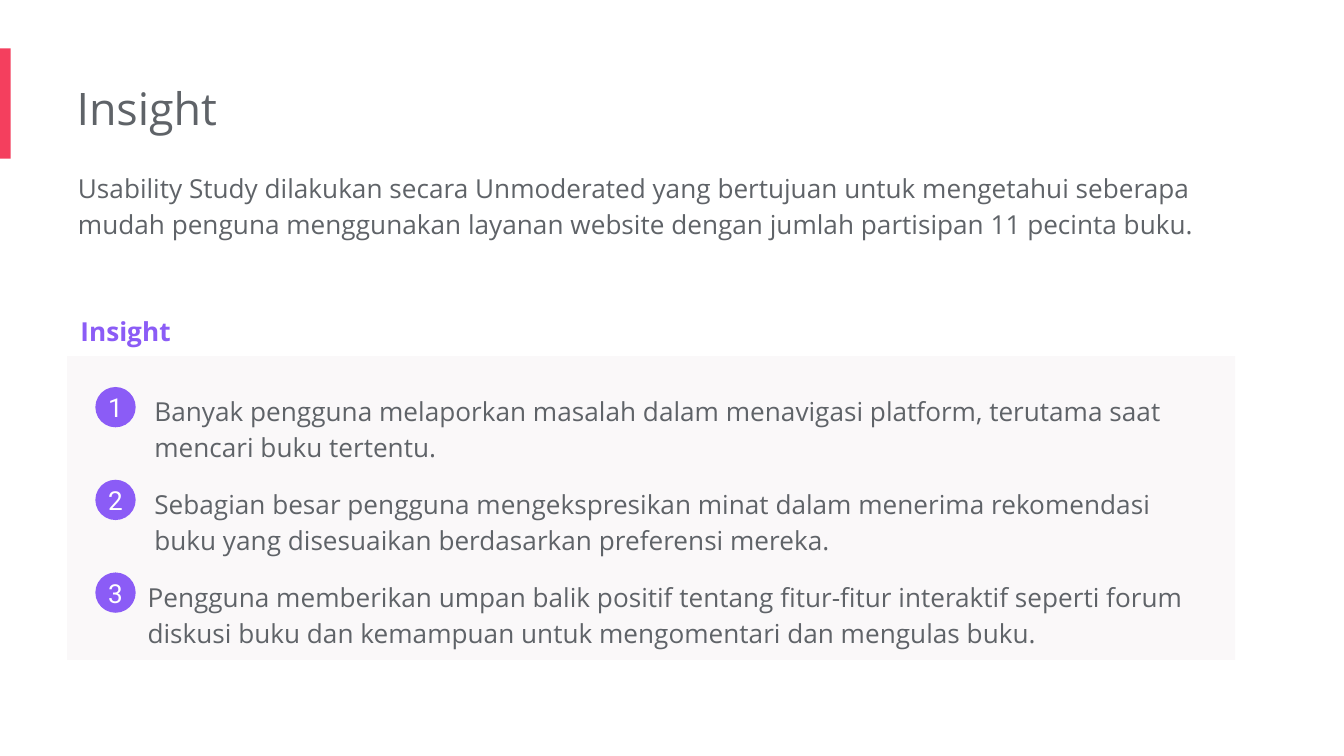
from dataclasses import dataclass

from pptx import Presentation
from pptx import util as u
from pptx.dml.color import RGBColor
from pptx.enum import shapes, text

PX = 9144  # EMU per px, 100 px to the inch
WIDE = 1000 * PX
HIGH = WIDE * 9 // 16
PAD = 10
HUES = {
    "rose": "F43F5E",
    "violet": "8B5CF6",
    "gray": "5F6368",
    "pale": "FAF8F9",
    "white": "FFFFFF",
}
BODY = {"name": "Open Sans", "size": u.Pt(14), "bold": False}
TITLE = {**BODY, "size": u.Pt(24)}
HEAD = {**BODY, "bold": True}
DIGIT = {**BODY, "name": "Roboto"}


@dataclass
class Box:
    x: int
    y: int
    w: int
    h: int

    def emu(self) -> list[int]:
        return [n * PX for n in (self.x, self.y, self.w, self.h)]


@dataclass
class Item:
    x: int
    w: int
    words: str


ITEMS = [
    Item(105, 791, "Banyak pengguna melaporkan masalah dalam menavigasi platform, "
                   "terutama saat mencari buku tertentu."),
    Item(105, 804, "Sebagian besar pengguna mengekspresikan minat dalam menerima "
                   "rekomendasi buku yang disesuaikan berdasarkan preferensi mereka."),
    Item(100, 796, "Pengguna memberikan umpan balik positif tentang fitur-fitur "
                   "interaktif seperti forum diskusi buku dan kemampuan untuk "
                   "mengomentari dan mengulas buku."),
]
TOP, STEP = 281, 69


def tint(hue: str) -> RGBColor:
    return RGBColor.from_string(HUES[hue])


def write(shape, words: str, style: dict, hue: str, lead: float = 1.15,
          left: int = PAD, pad: int = PAD):
    """Put one paragraph into a shape and return that paragraph."""
    frame = shape.text_frame
    form = {"word_wrap": True, "margin_left": left * PX, "margin_right": pad * PX,
            "margin_top": pad * PX, "margin_bottom": pad * PX}
    for key, val in form.items():
        setattr(frame, key, val)
    para = frame.paragraphs[0]
    para.line_spacing = lead
    run = para.add_run()
    run.text = words
    for key, val in style.items():
        setattr(run.font, key, val)
    run.font.color.rgb = tint(hue)
    return para


def label(slide, box: Box, words: str, style: dict = BODY, hue: str = "gray",
          lead: float = 1.15, left: int = PAD) -> None:
    shape = slide.shapes.add_textbox(*box.emu())
    write(shape, words, style, hue, lead, left)
    shape.text_frame.auto_size = text.MSO_AUTO_SIZE.SHAPE_TO_FIT_TEXT


def block(slide, kind: shapes.MSO_SHAPE, box: Box, hue: str):
    shape = slide.shapes.add_shape(kind, *box.emu())
    shape.shadow.inherit = False
    shape.fill.solid()
    shape.fill.fore_color.rgb = tint(hue)
    shape.line.fill.background()
    return shape


def badge(slide, box: Box, words: str) -> None:
    disc = block(slide, shapes.MSO_SHAPE.OVAL, box, "violet")
    para = write(disc, words, DIGIT, "white", 1.0, 0, 0)
    para.alignment = text.PP_ALIGN.CENTER
    disc.text_frame.vertical_anchor = text.MSO_ANCHOR.MIDDLE


def main() -> None:
    deck = Presentation()
    deck.slide_width, deck.slide_height = WIDE, HIGH
    slide = deck.slides.add_slide(deck.slide_layouts[6])
    rect = shapes.MSO_SHAPE.RECTANGLE

    # Accent bar and title
    block(slide, rect, Box(0, 36, 8, 82), "rose")
    label(slide, Box(57, 50, 673, 61), "Insight", TITLE, lead=1.0, left=0)

    # Insight panel
    label(slide, Box(50, 221, 365, 44), "Insight", HEAD, "violet")
    block(slide, rect, Box(50, 265, 869, 226), "pale")

    # Numbered insights
    for i, item in enumerate(ITEMS):
        y = TOP + i * STEP
        label(slide, Box(item.x, y, item.w, 74), item.words)
        badge(slide, Box(71, y + 7, 30, 30), str(i + 1))

    # Intro
    label(slide, Box(58, 115, 861, 101),
          "Usability Study dilakukan secara Unmoderated yang bertujuan untuk "
          "mengetahui seberapa mudah penguna menggunakan layanan website dengan "
          "jumlah partisipan 11 pecinta buku.", left=0)

    deck.save("out.pptx")


if __name__ == "__main__":
    main()
